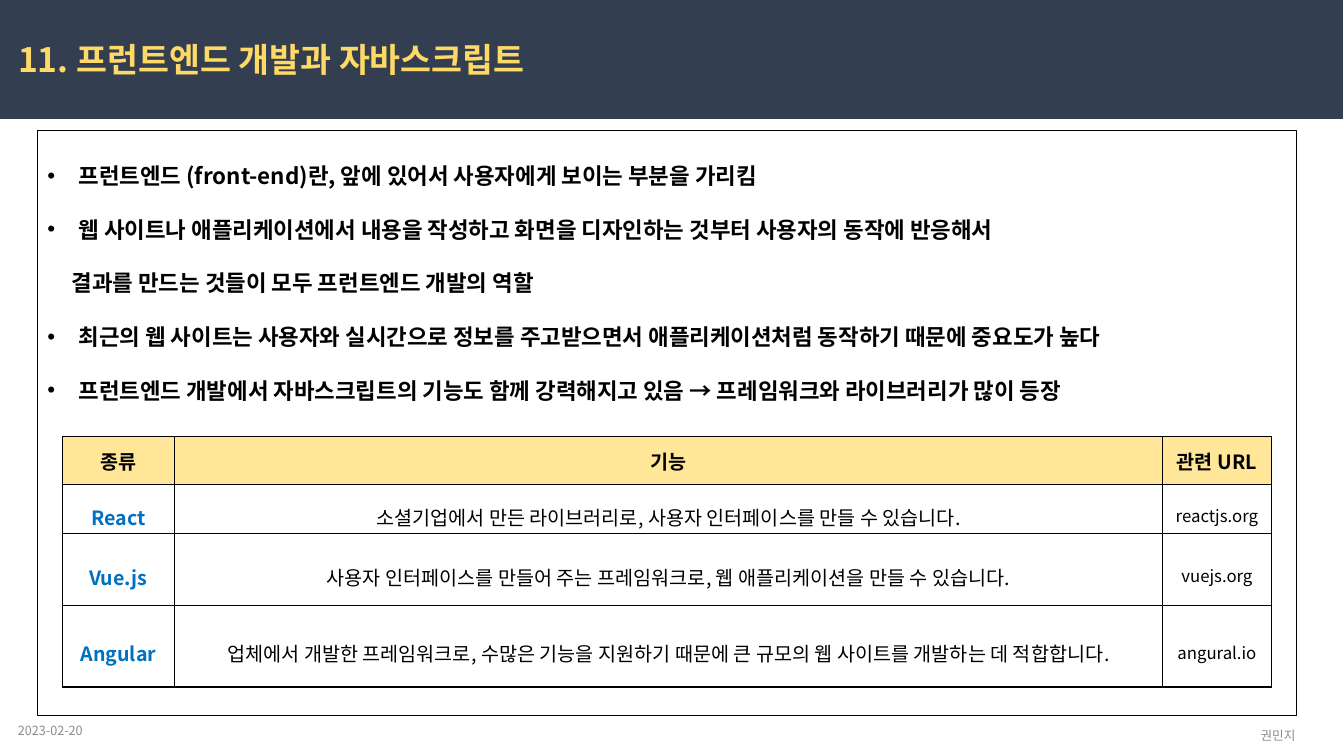
from lxml import etree
from pptx import Presentation
from pptx.dml.color import RGBColor
from pptx.enum.shapes import MSO_SHAPE
from pptx.enum.text import MSO_ANCHOR, MSO_AUTO_SIZE, PP_ALIGN
from pptx.oxml.ns import qn
from pptx.util import Inches, Pt

RECT = MSO_SHAPE.RECTANGLE
TOP, MIDDLE = MSO_ANCHOR.TOP, MSO_ANCHOR.MIDDLE
LEFT, CENTER = PP_ALIGN.LEFT, PP_ALIGN.CENTER
FIXED = MSO_AUTO_SIZE.NONE

FONT = "Noto Sans CJK KR"
NAVY, GOLD, CREAM = "333F50", "FFD966", "FFE699"
BLACK, GRAY, BLUE = "000000", "8C8C8C", "0070C0"

POINTS = [
    ("프런트엔드 (front-end)란, 앞에 있어서 사용자에게 보이는 부분을 가리킴", True),
    ("웹 사이트나 애플리케이션에서 내용을 작성하고 화면을 디자인하는 것부터 사용자의 동작에 반응해서", True),
    ("결과를 만드는 것들이 모두 프런트엔드 개발의 역할", False),
    ("최근의 웹 사이트는 사용자와 실시간으로 정보를 주고받으면서 애플리케이션처럼 동작하기 때문에 중요도가 높다", True),
    ("프런트엔드 개발에서 자바스크립트의 기능도 함께 강력해지고 있음 → 프레임워크와 라이브러리가 많이 등장", True),
]
ROWS = [
    ("종류", "기능", "관련 URL"),
    ("React", "소셜기업에서 만든 라이브러리로, 사용자 인터페이스를 만들 수 있습니다.", "reactjs.org"),
    ("Vue.js", "사용자 인터페이스를 만들어 주는 프레임워크로, 웹 애플리케이션을 만들 수 있습니다.", "vuejs.org"),
    ("Angular", "업체에서 개발한 프레임워크로, 수많은 기능을 지원하기 때문에 큰 규모의 웹 사이트를 개발하는 데 적합합니다.", "angural.io"),
]
WIDTHS = [1.11, 9.8, 1.08]
HEIGHTS = [0.48, 0.43, 0.71, 0.81]
# Size, colour and weight of each column below the header
COLUMNS = [(14, BLUE, True), (14, BLACK, False), (12, BLACK, False)]


def color(code):
    return RGBColor.from_string(code)


class Deck:
    def __init__(self):
        self.file = Presentation()
        self.file.slide_width = Inches(13.33)
        self.file.slide_height = Inches(7.5)
        self.slide = self.file.slides.add_slide(self.file.slide_layouts[1])
        self.shapes = self.slide.shapes

    def place(self, shape, box):
        shape.left, shape.top, shape.width, shape.height = map(Inches, box)

    def style(self, para, size, hue, bold=False, align=LEFT, space=1.0):
        para.alignment = align
        para.line_spacing = space
        para.space_before = para.space_after = Pt(0)
        for run in para.runs:
            font = run.font
            font.name, font.size, font.bold = FONT, Pt(size), bold
            font.color.rgb = color(hue)
            # Korean glyphs take the East Asian typeface
            etree.SubElement(run._r.get_or_add_rPr(), qn("a:ea"), typeface=FONT)

    def indent(self, para, left, hang, mark):
        props = para._p.get_or_add_pPr()
        props.set("marL", str(Inches(left)))
        props.set("indent", str(Inches(-hang)))
        if mark:
            etree.SubElement(props, qn("a:buFont"), typeface="Arial")
            etree.SubElement(props, qn("a:buChar"), char="•")
        else:
            etree.SubElement(props, qn("a:buNone"))

    def frame(self, shape, anchor):
        frame = shape.text_frame
        frame.word_wrap = True
        frame.auto_size = FIXED
        frame.vertical_anchor = anchor
        return frame

    def band(self, box, hue):
        shape = self.shapes.add_shape(RECT, *map(Inches, box))
        shape.shadow.inherit = False
        shape.fill.solid()
        shape.fill.fore_color.rgb = color(hue)
        shape.line.fill.background()
        # The band lies behind the placeholders
        self.shapes._spTree.insert(2, shape._element)

    def title(self, box, text):
        shape = self.shapes.title
        self.place(shape, box)
        frame = self.frame(shape, TOP)
        frame.text = text
        self.style(frame.paragraphs[0], 24, GOLD, True)

    def body(self, box, points):
        shape = self.slide.placeholders[1]
        self.place(shape, box)
        shape.line.color.rgb = color(BLACK)
        shape.line.width = Pt(0.75)
        frame = self.frame(shape, TOP)
        frame.text = "\n".join(text for text, mark in points)
        for para, (text, mark) in zip(frame.paragraphs, points):
            self.indent(para, *((0.31, 0.31) if mark else (0.24, 0)), mark)
            self.style(para, 16, BLACK, True, space=2.0)

    def note(self, box, text, align):
        frame = self.frame(self.shapes.add_textbox(*map(Inches, box)), MIDDLE)
        frame.text = text
        self.style(frame.paragraphs[0], 9, GRAY, align=align)

    def border(self, cell):
        props = cell._tc.get_or_add_tcPr()
        for i, side in enumerate(("lnL", "lnR", "lnT", "lnB")):
            line = etree.Element(qn("a:" + side), w=str(Pt(1)))
            fill = etree.SubElement(line, qn("a:solidFill"))
            etree.SubElement(fill, qn("a:srgbClr"), val=BLACK)
            props.insert(i, line)

    def cell(self, cell, text, head, look):
        cell.margin_left = cell.margin_right = Inches(0.01)
        cell.margin_top = cell.margin_bottom = Inches(0.03)
        cell.vertical_anchor = MIDDLE
        if head:
            cell.fill.solid()
            cell.fill.fore_color.rgb = color(CREAM)
        else:
            cell.fill.background()
        self.border(cell)
        cell.text_frame.text = text
        self.style(cell.text_frame.paragraphs[0], *look, CENTER, 1.0 if head else 1.5)

    def table(self, left, top, rows):
        box = (left, top, sum(WIDTHS), sum(HEIGHTS))
        grid = self.shapes.add_table(len(rows), len(WIDTHS), *map(Inches, box)).table
        for col, width in zip(grid.columns, WIDTHS):
            col.width = Inches(width)
        for r, texts in enumerate(rows):
            grid.rows[r].height = Inches(HEIGHTS[r])
            for c, text in enumerate(texts):
                look = COLUMNS[c] if r else (14, BLACK, True)
                self.cell(grid.cell(r, c), text, r == 0, look)


def main():
    deck = Deck()
    # Header
    deck.band((0, 0, 13.32, 1.18), NAVY)
    deck.title((0.08, 0.34, 12.72, 0.5), "11. 프런트엔드 개발과 자바스크립트")
    # Main points and table
    deck.body((0.37, 1.29, 12.49, 5.81), POINTS)
    deck.table(0.62, 4.33, ROWS)
    # Footer
    deck.note((0.08, 7.05, 3, 0.4), "2023-02-20", LEFT)
    deck.note((12.03, 7.1, 1.29, 0.4), "권민지", CENTER)
    deck.file.save("out.pptx")


if __name__ == "__main__":
    main()
